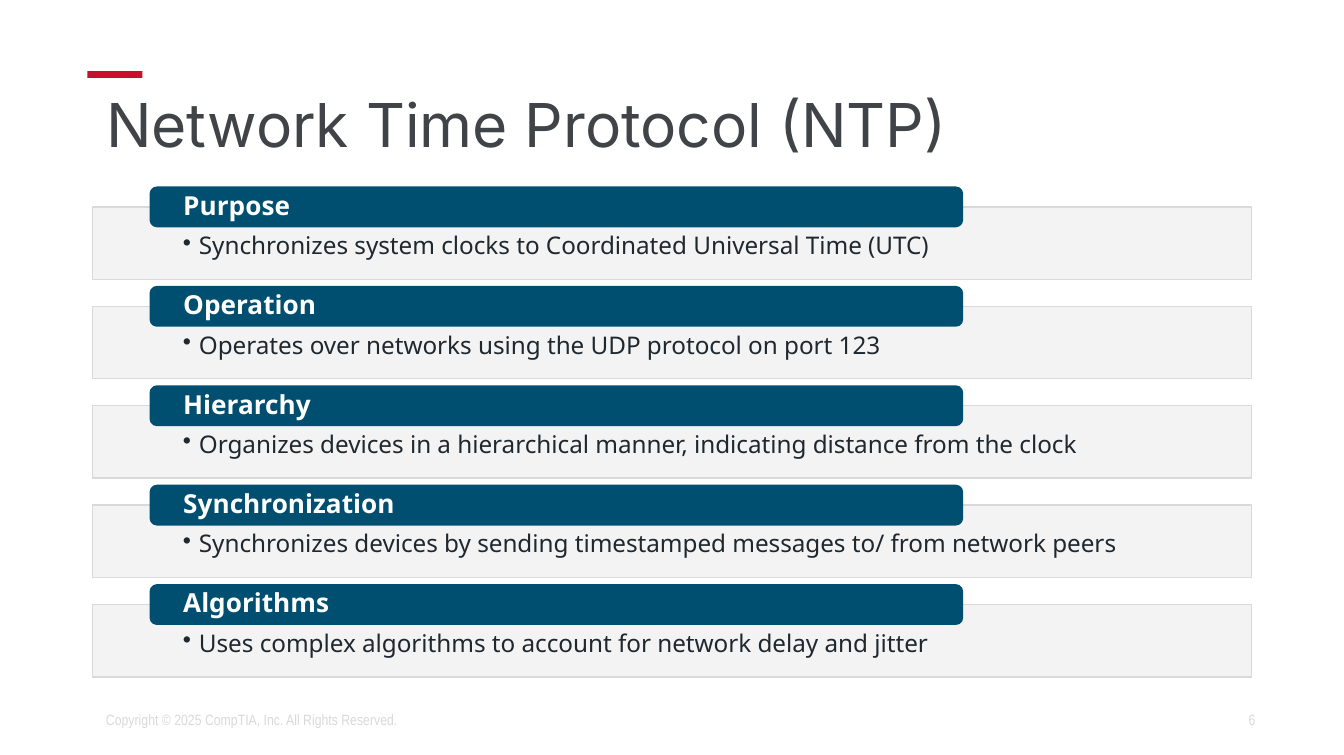
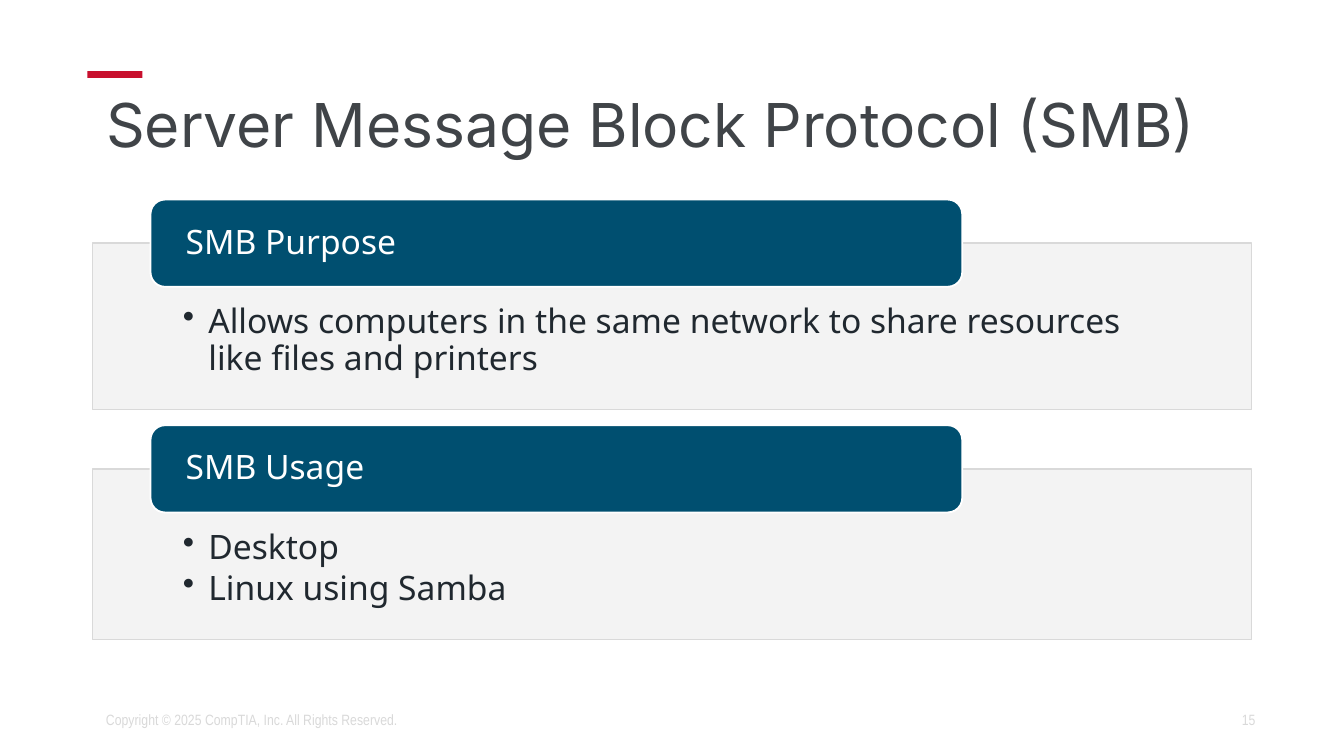
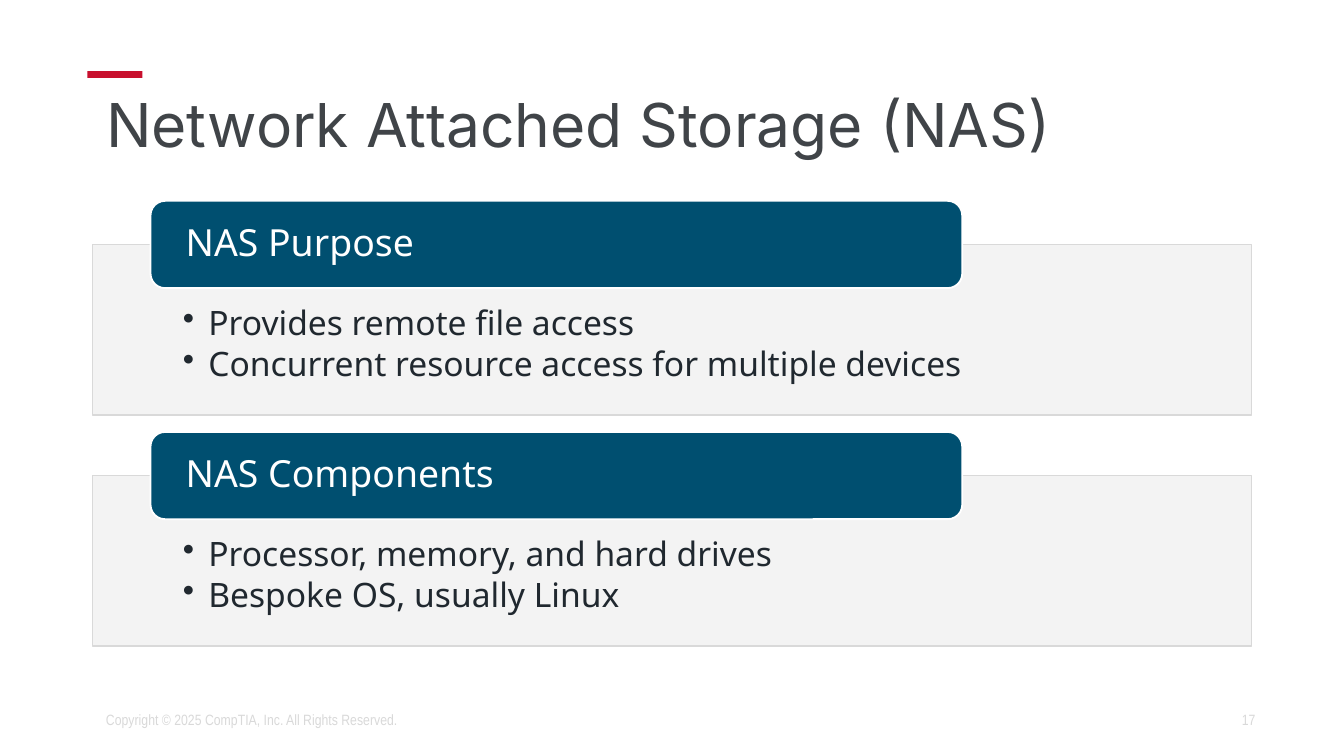
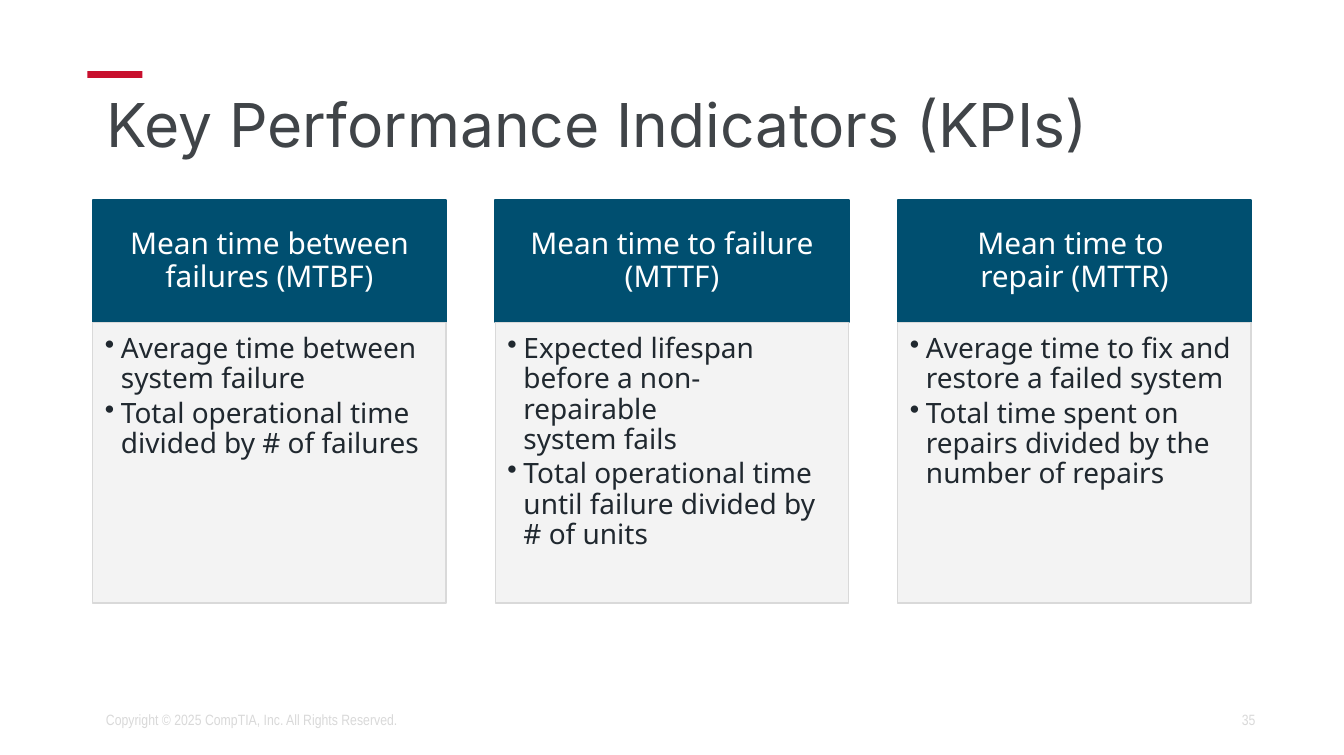
from copy import deepcopy

from lxml import etree
from pptx import Presentation
from pptx.dml.color import RGBColor
from pptx.enum import shapes, text
from pptx.oxml import ns
from pptx.util import Inches, Pt

RED = RGBColor(0xC8, 0x10, 0x2E)
NAVY = RGBColor(0x00, 0x4F, 0x70)
PALE = RGBColor(0xF2, 0xF2, 0xF2)
SILVER = RGBColor(0xD9, 0xD9, 0xD9)
SLATE = RGBColor(0x40, 0x44, 0x48)
INK = RGBColor(0x20, 0x28, 0x2F)
WHITE = RGBColor(0xFF, 0xFF, 0xFF)

RECT = shapes.MSO_SHAPE.RECTANGLE
ROUND = shapes.MSO_SHAPE.ROUNDED_RECTANGLE
TOP, MIDDLE = text.MSO_ANCHOR.TOP, text.MSO_ANCHOR.MIDDLE
LEFT, CENTER, RIGHT = text.PP_ALIGN.LEFT, text.PP_ALIGN.CENTER, text.PP_ALIGN.RIGHT

MARGIN, CONTENT_W = 0.69, 8.62
TAB_X, TAB_W = 1.12, 6.04
COLUMN_W, HEAD_TOP, HEAD_H, BODY_H = 2.63, 1.49, 0.91, 2.09
COPYRIGHT = "Copyright © 2025 CompTIA, Inc. All Rights Reserved."


def write(sp, lines, size, color, font="Noto Sans", bold=None, align=LEFT, anchor=MIDDLE,
          insets=(0.1, 0.05, 0.1, 0.05), spacing=0.9, after=0, indent=0):
    """Fill a shape with paragraphs; an indent makes them bullets, after is a share of the size."""
    tf = sp.text_frame
    tf.word_wrap = True
    tf.auto_size = text.MSO_AUTO_SIZE.NONE
    tf.vertical_anchor = anchor
    for side, inset in zip(("left", "top", "right", "bottom"), insets):
        setattr(tf, f"margin_{side}", Inches(inset))
    for i, line in enumerate(lines):
        p = tf.paragraphs[0] if i == 0 else tf.add_paragraph()
        p.text = line
        p.alignment = align
        p.line_spacing = spacing
        p.space_before = Pt(0)
        p.space_after = Pt(after * size)
        if indent:
            p.level = 1
            pPr = p._p.get_or_add_pPr()
            pPr.set("marL", str(Inches(indent)))
            pPr.set("indent", str(-Inches(indent)))
            etree.SubElement(pPr, ns.qn("a:buChar"), char="•")
        for r in p.runs:
            for name, value in dict(name=font, size=Pt(size), bold=bold).items():
                setattr(r.font, name, value)
            r.font.color.rgb = color
        for br in p._p.findall(ns.qn("a:br")):
            br.insert(0, deepcopy(p.runs[0]._r.rPr))


def add_box(s, kind, x, y, w, h, fill, line=None, weight=1, alpha=None):
    sp = s.shapes.add_shape(kind, Inches(x), Inches(y), Inches(w), Inches(h))
    sp.shadow.inherit = False
    sp.fill.solid()
    sp.fill.fore_color.rgb = fill
    if alpha:
        clr = sp._element.spPr.find(ns.qn("a:solidFill"))[0]
        etree.SubElement(clr, ns.qn("a:alpha"), val=str(alpha * 1000))
    if line is None:
        sp.line.fill.background()
    else:
        sp.line.color.rgb = line
        sp.line.width = Pt(weight)
    return sp


prs = Presentation()
prs.slide_width, prs.slide_height = Inches(10), Inches(5.62)

# Title, accent bar and footer of every slide
slides = []
for title, number in [
    ("Network Time Protocol (NTP)", "6"),
    ("Server Message Block Protocol (SMB)", "15"),
    ("Network Attached Storage (NAS)", "17"),
    ("Key Performance Indicators (KPIs)", "35"),
]:
    s = prs.slides.add_slide(prs.slide_layouts[5])
    add_box(s, RECT, 0.65, 0.53, 0.41, 0.05, RED)
    sp = s.shapes.title
    sp.left, sp.top, sp.width, sp.height = map(Inches, (MARGIN, 0.64, CONTENT_W, 0.63))
    write(sp, [title], 32.4, SLATE, font="Inter")
    for x, w, label, align in [(7.06, 2.38, number, RIGHT), (MARGIN, 4.31, COPYRIGHT, LEFT)]:
        sp = s.shapes.add_textbox(Inches(x), Inches(5.21), Inches(w), Inches(0.3))
        write(sp, [label], 8, SILVER, font="Arial Narrow", align=align, spacing=1)
    slides.append(s)

# Stacked panels, each with a tab centred on its top edge
small = dict(tab_h=0.29, gap=0.2, tab_line=NAVY, bold=True, tab_size=14, size=13,
             indent=0.12, insets=(0.67, 0.2, 0.67, 0.1))
large = dict(tab_h=0.65, gap=0.44, tab_line=WHITE, bold=None, tab_size=18, size=18,
             indent=0.19, insets=(0.67, 0.46, 0.67, 0.14))
stacks = [
    (1.54, small, [
        ("Purpose", 0.54, ["Synchronizes system clocks to Coordinated Universal Time (UTC)"]),
        ("Operation", 0.54, ["Operates over networks using the UDP protocol on port 123"]),
        ("Hierarchy", 0.54,
         ["Organizes devices in a hierarchical manner, indicating distance from the clock"]),
        ("Synchronization", 0.54,
         ["Synchronizes devices by sending timestamped messages to/ from network peers"]),
        ("Algorithms", 0.54, ["Uses complex algorithms to account for network delay and jitter"]),
    ]),
    (1.81, large, [
        ("SMB Purpose", 1.24,
         ["Allows computers in the same network to share resources like files and printers"]),
        ("SMB Usage", 1.27, ["Desktop", "Linux using Samba"]),
    ]),
    (1.82, {**large, "gap": 0.45, "tab_size": 20}, [
        ("NAS Purpose", 1.27,
         ["Provides remote file access", "Concurrent resource access for multiple devices"]),
        ("NAS Components", 1.27,
         ["Processor, memory, and hard drives", "Bespoke OS, usually Linux"]),
    ]),
]
for s, (y, look, panels) in zip(slides, stacks):
    for heading, h, bullets in panels:
        panel = add_box(s, RECT, MARGIN, y, CONTENT_W, h, PALE, SILVER, 0.75, alpha=90)
        write(panel, bullets, look["size"], INK, anchor=TOP, insets=look["insets"],
              after=0.15, indent=look["indent"])
        tab = add_box(s, ROUND, TAB_X, y - look["tab_h"] / 2, TAB_W, look["tab_h"],
                      NAVY, look["tab_line"])
        write(tab, [heading], look["tab_size"], WHITE, bold=look["bold"],
              insets=(0.23, 0, 0.23, 0), after=0.35)
        y += h + look["gap"]

# Three indicator columns
columns = [
    ("Mean time between failures (MTBF)",
     ["Average time between system failure",
      "Total operational time divided by # of failures"]),
    ("Mean time to failure (MTTF)",
     ["Expected lifespan before a non-repairable \vsystem fails",
      "Total operational time until failure divided by # of units"]),
    ("Mean time to \vrepair (MTTR)",
     ["Average time to fix and restore a failed system",
      "Total time spent on repairs divided by the number of repairs"]),
]
pitch = (CONTENT_W - COLUMN_W) / (len(columns) - 1)
for i, (heading, bullets) in enumerate(columns):
    x = MARGIN + i * pitch
    head = add_box(slides[3], RECT, x, HEAD_TOP, COLUMN_W, HEAD_H, NAVY, NAVY)
    write(head, [heading], 16, WHITE, align=CENTER, insets=(0.12, 0.07, 0.12, 0.07), after=0.35)
    body = add_box(slides[3], RECT, x, HEAD_TOP + HEAD_H, COLUMN_W, BODY_H,
                   PALE, SILVER, 0.75, alpha=90)
    write(body, bullets, 15, INK, anchor=TOP, insets=(0.09, 0.09, 0.12, 0.13),
          after=0.15, indent=0.12)

prs.save("out.pptx")
